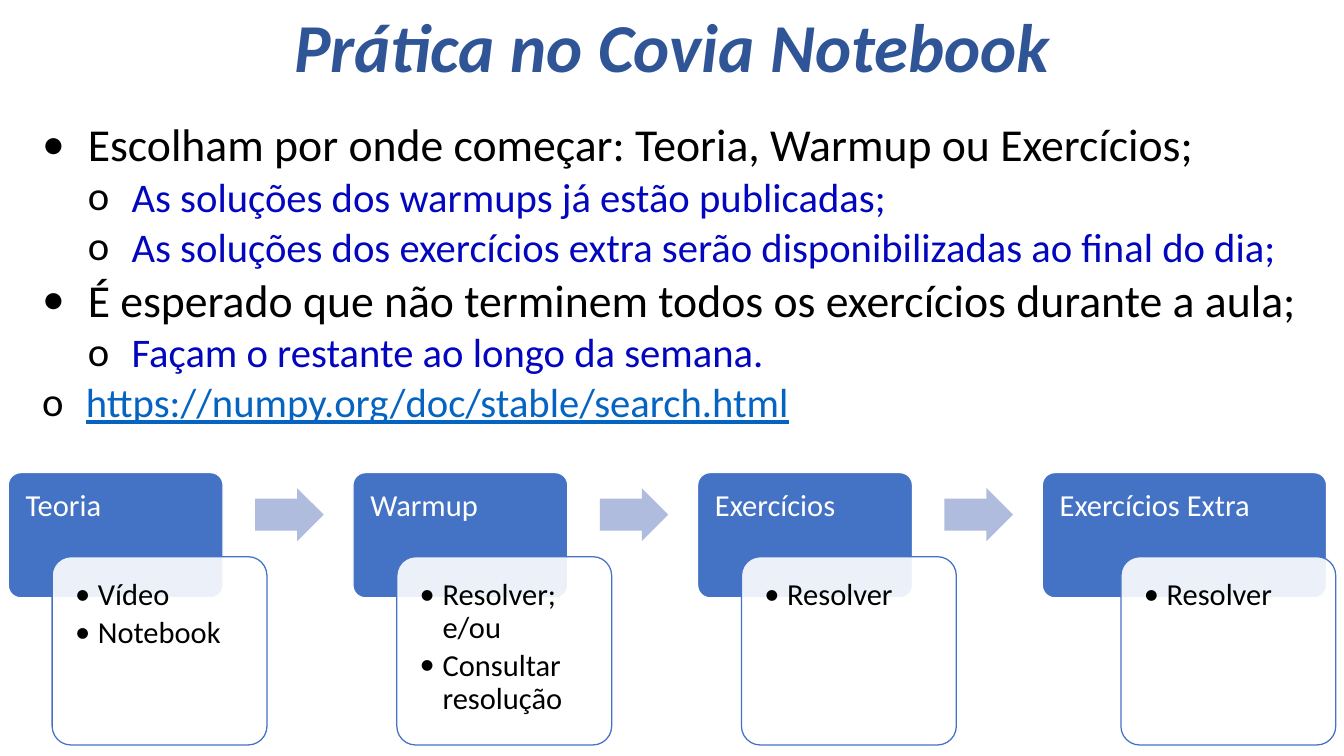
from dataclasses import dataclass

from lxml.etree import SubElement
from pptx import Presentation
from pptx.dml.color import RGBColor
from pptx.enum.shapes import MSO_SHAPE
from pptx.enum.text import MSO_ANCHOR, MSO_AUTO_SIZE, PP_ALIGN
from pptx.oxml.ns import qn
from pptx.shapes.autoshape import Shape
from pptx.slide import Slide
from pptx.text.text import TextFrame, _Paragraph
from pptx.util import Inches, Length, Pt


@dataclass(frozen=True)
class Theme:
    font: str = "Calibri"
    title_size: int = 54
    topic_size: int = 36
    detail_size: int = 32
    step_size: int = 24
    title: str = "2F5597"
    text: str = "000000"
    detail: str = "0206BE"
    link: str = "0563C1"
    step: str = "4472C4"
    arrow: str = "B0BCDE"
    white: str = "FFFFFF"


@dataclass(frozen=True)
class Area:
    """A place on the grid, in columns and rows."""
    left: float
    top: float
    width: float
    height: float


@dataclass(frozen=True)
class Point:
    text: str
    size: int
    color: str
    bullet: str = "o"
    level: int = 0
    margin: float = 4.8
    hanging: float = 4.8
    spacing: float = 0.9
    before: float = 5
    underline: bool = False


@dataclass(frozen=True)
class Step:
    name: str
    tasks: tuple[str, ...]
    width: float = 23.5
    card_offset: float = 4.8


THEME = Theme()

# Grid of square cells, a tenth of an inch each
COLUMNS, ROWS = 147, 82.7
TITLE_AREA = Area(18.4, 1.1, 110.2, 8.9)
BODY_AREA = Area(3.6, 12.2, 142.5, 35.3)
FLOW_LEFT, FLOW_PITCH = 0.9, 37.7
HEADER_TOP, HEADER_HEIGHT = 51.7, 13.7
CARD_TOP, CARD_WIDTH, CARD_HEIGHT = 60.9, 23.5, 20.6
ARROW_OFFSET, ARROW_TOP, ARROW_WIDTH, ARROW_HEIGHT = 27, 53.4, 7.5, 5.8

TITLE = "Prática no Covia Notebook"


def topic(text: str) -> Point:
    return Point(text, THEME.topic_size, THEME.text, "•",
                 margin=5, hanging=5, spacing=1, before=0)


def detail(text: str) -> Point:
    return Point(text, THEME.detail_size, THEME.detail, level=1, margin=9.8)


POINTS = (
    topic("Escolham por onde começar: Teoria, Warmup ou Exercícios;"),
    detail("As soluções dos warmups já estão publicadas;"),
    detail("As soluções dos exercícios extra serão disponibilizadas ao final do dia;"),
    topic("É esperado que não terminem todos os exercícios durante a aula;"),
    detail("Façam o restante ao longo da semana."),
    Point("https://numpy.org/doc/stable/search.html",
          THEME.detail_size, THEME.link, underline=True),
)

STEPS = (
    Step("Teoria", ("Vídeo", "Notebook")),
    Step("Warmup", ("Resolver; e/ou", "Consultar resolução")),
    Step("Exercícios", ("Resolver",)),
    Step("Exercícios Extra", ("Resolver",), width=31.1, card_offset=8.6),
)


def cells(count: float) -> Length:
    return Inches(count / 10)


def place(shape: Shape, area: Area) -> None:
    shape.left, shape.top = cells(area.left), cells(area.top)
    shape.width, shape.height = cells(area.width), cells(area.height)


def set_frame(frame: TextFrame, side: float, vertical: float, anchor: MSO_ANCHOR) -> None:
    frame.word_wrap = True
    frame.auto_size = MSO_AUTO_SIZE.NONE
    frame.vertical_anchor = anchor
    frame.margin_left = frame.margin_right = cells(side)
    frame.margin_top = frame.margin_bottom = cells(vertical)


def write(para: _Paragraph, text: str, size: int, color: str,
          spacing: float = 0.9, before: float = 0, after: float = 0) -> None:
    para.text = text
    para.line_spacing = spacing
    para.space_before, para.space_after = Pt(before), Pt(after)
    for span in para.runs:
        span.font.name = THEME.font
        span.font.size = Pt(size)
        span.font.color.rgb = RGBColor.from_string(color)


def add_bullet(para: _Paragraph, mark: str, margin: float, hanging: float) -> None:
    properties = para._p.get_or_add_pPr()
    properties.set("marL", str(cells(margin)))
    properties.set("indent", str(-cells(hanging)))
    color = SubElement(properties, qn("a:buClr"))
    SubElement(color, qn("a:srgbClr"), val=THEME.text)
    SubElement(properties, qn("a:buFont"), typeface=THEME.font)
    SubElement(properties, qn("a:buChar"), char=mark)


def next_paragraph(frame: TextFrame, index: int) -> _Paragraph:
    return frame.add_paragraph() if index else frame.paragraphs[0]


def add_block(page: Slide, kind: MSO_SHAPE, area: Area, fill: str,
              line: str | None = None) -> Shape:
    block = page.shapes.add_shape(kind, 0, 0, 0, 0)
    place(block, area)
    block.shadow.inherit = False
    block.fill.solid()
    block.fill.fore_color.rgb = RGBColor.from_string(fill)
    if line:
        block.line.color.rgb = RGBColor.from_string(line)
        block.line.width = Pt(1)
    else:
        block.line.fill.background()
    return block


def add_header(page: Slide, step: Step, left: float) -> None:
    header = add_block(page, MSO_SHAPE.ROUNDED_RECTANGLE,
                       Area(left, HEADER_TOP, step.width, HEADER_HEIGHT),
                       THEME.step, THEME.white)
    header.adjustments[0] = 0.1
    set_frame(header.text_frame, 1.5, 1.5, MSO_ANCHOR.TOP)
    para = header.text_frame.paragraphs[0]
    write(para, step.name, THEME.step_size, THEME.white)
    para.alignment = PP_ALIGN.LEFT


def add_card(page: Slide, step: Step, left: float) -> None:
    card = add_block(page, MSO_SHAPE.ROUNDED_RECTANGLE,
                     Area(left + step.card_offset, CARD_TOP, CARD_WIDTH, CARD_HEIGHT),
                     THEME.white, THEME.step)
    card.adjustments[0] = 0.1
    fill_color = card.fill._xPr.find(qn("a:solidFill"))[0]
    SubElement(fill_color, qn("a:alpha"), val="90000")
    set_frame(card.text_frame, 1.9, 1.9, MSO_ANCHOR.TOP)
    for index, task in enumerate(step.tasks):
        para = next_paragraph(card.text_frame, index)
        write(para, task, THEME.step_size, THEME.text, after=3.6)
        para.alignment = PP_ALIGN.LEFT
        add_bullet(para, "•", 2.5, 2.5)


def add_arrow(page: Slide, left: float) -> None:
    arrow = add_block(page, MSO_SHAPE.RIGHT_ARROW,
                      Area(left + ARROW_OFFSET, ARROW_TOP, ARROW_WIDTH, ARROW_HEIGHT),
                      THEME.arrow)
    arrow.adjustments[0] = 0.6


def main() -> None:
    deck = Presentation()
    deck.slide_width, deck.slide_height = cells(COLUMNS), cells(ROWS)
    page = deck.slides.add_slide(deck.slide_layouts[1])

    # Title
    title = page.shapes.title
    place(title, TITLE_AREA)
    set_frame(title.text_frame, 1, 0.5, MSO_ANCHOR.BOTTOM)
    para = title.text_frame.paragraphs[0]
    write(para, TITLE, THEME.title_size, THEME.title)
    para.alignment = PP_ALIGN.CENTER
    para.runs[0].font.bold = para.runs[0].font.italic = True

    # Instructions
    body = page.placeholders[1]
    place(body, BODY_AREA)
    set_frame(body.text_frame, 1, 0.5, MSO_ANCHOR.TOP)
    for index, point in enumerate(POINTS):
        para = next_paragraph(body.text_frame, index)
        write(para, point.text, point.size, point.color, point.spacing, point.before)
        para.level = point.level
        para.runs[0].font.underline = point.underline
        add_bullet(para, point.bullet, point.margin, point.hanging)

    # Flow of steps
    for index, step in enumerate(STEPS):
        left = FLOW_LEFT + index * FLOW_PITCH
        add_header(page, step, left)
        add_card(page, step, left)
        if index < len(STEPS) - 1:
            add_arrow(page, left)

    deck.save("out.pptx")


if __name__ == "__main__":
    main()
